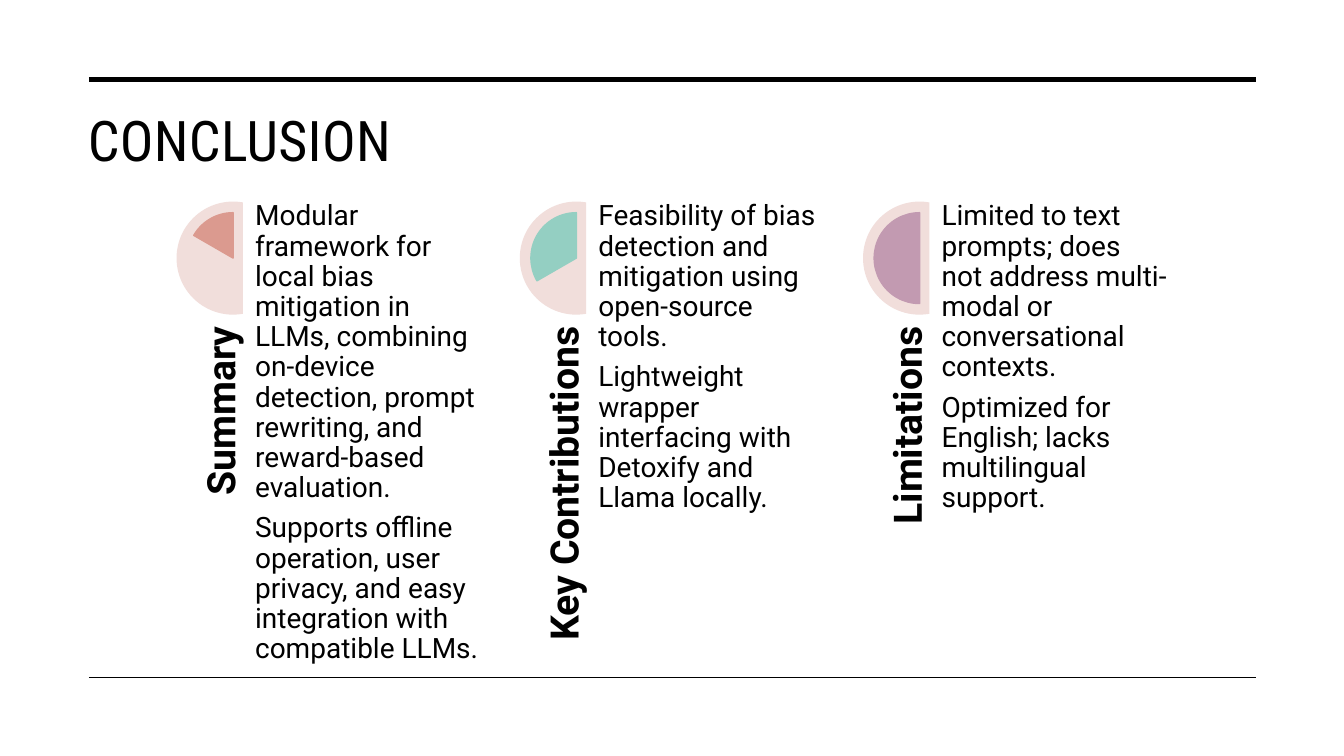
from pptx import Presentation
from pptx.dml.color import RGBColor
from pptx.enum.shapes import MSO_CONNECTOR, MSO_SHAPE
from pptx.enum.text import MSO_ANCHOR, PP_ALIGN
from pptx.oxml.ns import qn
from pptx.util import Cm, Pt
from lxml.etree import SubElement

TITLE = "CONCLUSION"
# heading, pie colour, pie start (degrees), paragraphs
COLUMNS = [
    ("Summary", "DB9A8F", 210, [
        "Modular framework for local bias mitigation in LLMs, combining "
        "on-device detection, prompt rewriting, and reward-based evaluation.",
        "Supports offline operation, user privacy, and easy integration "
        "with compatible LLMs."]),
    ("Key Contributions", "94CFC2", 150, [
        "Feasibility of bias detection and mitigation using open-source tools.",
        "Lightweight wrapper interfacing with Detoxify and Llama locally."]),
    ("Limitations", "C29AB1", 90, [
        "Limited to text prompts; does not address multi-modal or "
        "conversational contexts.",
        "Optimized for English; lacks multilingual support."]),
]
BLACK, DISC = "000000", "F1DEDB"
RULES = [(2.0, 3.5), (17.07, 1)]  # height in cm, weight in points
RULE_LEFT, RULE_RIGHT = 2.24, 31.65
LEFT, TOP, PITCH = 4.45, 5.08, 8.65
DISC_SIZE, PIE_SIZE = 2.85, 2.29
HEAD_LENGTH, HEAD_DEPTH = 8.26, 1.7
BODY_OFFSET, BODY_W, BODY_H = 1.98, 5.69, 11.38


def rgb(color):
    return RGBColor.from_string(color)


def add_rule(s, y, weight):
    line = s.shapes.add_connector(MSO_CONNECTOR.STRAIGHT, Cm(RULE_LEFT), Cm(y),
                                  Cm(RULE_RIGHT), Cm(y))
    line.line.color.rgb = rgb(BLACK)
    line.line.width = Pt(weight)
    SubElement(line._element.spPr, qn("a:effectLst"))


def add_sector(s, kind, x, y, size, color, start, end):
    """Add a chord or pie running clockwise from start to end, in degrees."""
    sp = s.shapes.add_shape(kind, Cm(x), Cm(y), Cm(size), Cm(size))
    sp.shadow.inherit = False
    for i, angle in enumerate((start, end)):
        sp.adjustments[i] = angle * 0.6
    sp.fill.solid()
    sp.fill.fore_color.rgb = rgb(color)
    sp.line.fill.background()
    return sp


def add_text(s, x, y, w, h, texts, size, bold=False):
    sp = s.shapes.add_textbox(Cm(x), Cm(y), Cm(w), Cm(h))
    tf = sp.text_frame
    tf.word_wrap = True
    tf.margin_left = tf.margin_right = tf.margin_top = tf.margin_bottom = 0
    tf.text = "\n".join(texts)
    for p in tf.paragraphs:
        p.line_spacing = 0.9
        p.space_after = Pt(size * 0.35)
        p.font.name = "Roboto"
        p.font.size = Pt(size)
        p.font.bold = bold
        p.font.color.rgb = rgb(BLACK)
    return sp


def add_column(s, x, heading, color, start, texts):
    add_sector(s, MSO_SHAPE.CHORD, x, TOP, DISC_SIZE, DISC, 80, 280)
    inset = (DISC_SIZE - PIE_SIZE) / 2
    pie = add_sector(s, MSO_SHAPE.PIE, x + inset, TOP + inset, PIE_SIZE,
                     color, start, 270)
    pie.line.color.rgb = rgb(color)
    pie.line.width = Pt(1)

    # The heading turns about its centre, so its top end sits below the disc.
    head_x = x + (DISC_SIZE - HEAD_DEPTH - HEAD_LENGTH) / 2 + 0.27
    head_y = TOP + DISC_SIZE + 0.3 + (HEAD_LENGTH - HEAD_DEPTH) / 2
    head = add_text(s, head_x, head_y, HEAD_LENGTH, HEAD_DEPTH, [heading], 28, True)
    head.rotation = 270
    head.text_frame.vertical_anchor = MSO_ANCHOR.BOTTOM
    head.text_frame.paragraphs[0].alignment = PP_ALIGN.RIGHT

    add_text(s, x + BODY_OFFSET, TOP, BODY_W, BODY_H, texts, 20)


def add_title(s):
    title = s.shapes.title
    title.left, title.top, title.width, title.height = (
        Cm(1.96), Cm(2.54), Cm(29.69), Cm(2.49))
    tf = title.text_frame
    tf.text = TITLE
    tf.vertical_anchor = MSO_ANCHOR.TOP
    p = tf.paragraphs[0]
    p.alignment = PP_ALIGN.LEFT
    p.font.name = "Roboto Condensed"
    p.font.size = Pt(40)
    p.font.color.rgb = rgb(BLACK)
    p.runs[0].font._element.set("spc", "30")


def main():
    prs = Presentation()
    prs.slide_width, prs.slide_height = Cm(33.87), Cm(19.05)
    s = prs.slides.add_slide(prs.slide_layouts[5])
    for y, weight in RULES:
        add_rule(s, y, weight)
    add_title(s)
    for i, column in enumerate(COLUMNS):
        add_column(s, LEFT + i * PITCH, *column)
    prs.save("out.pptx")


if __name__ == "__main__":
    main()
